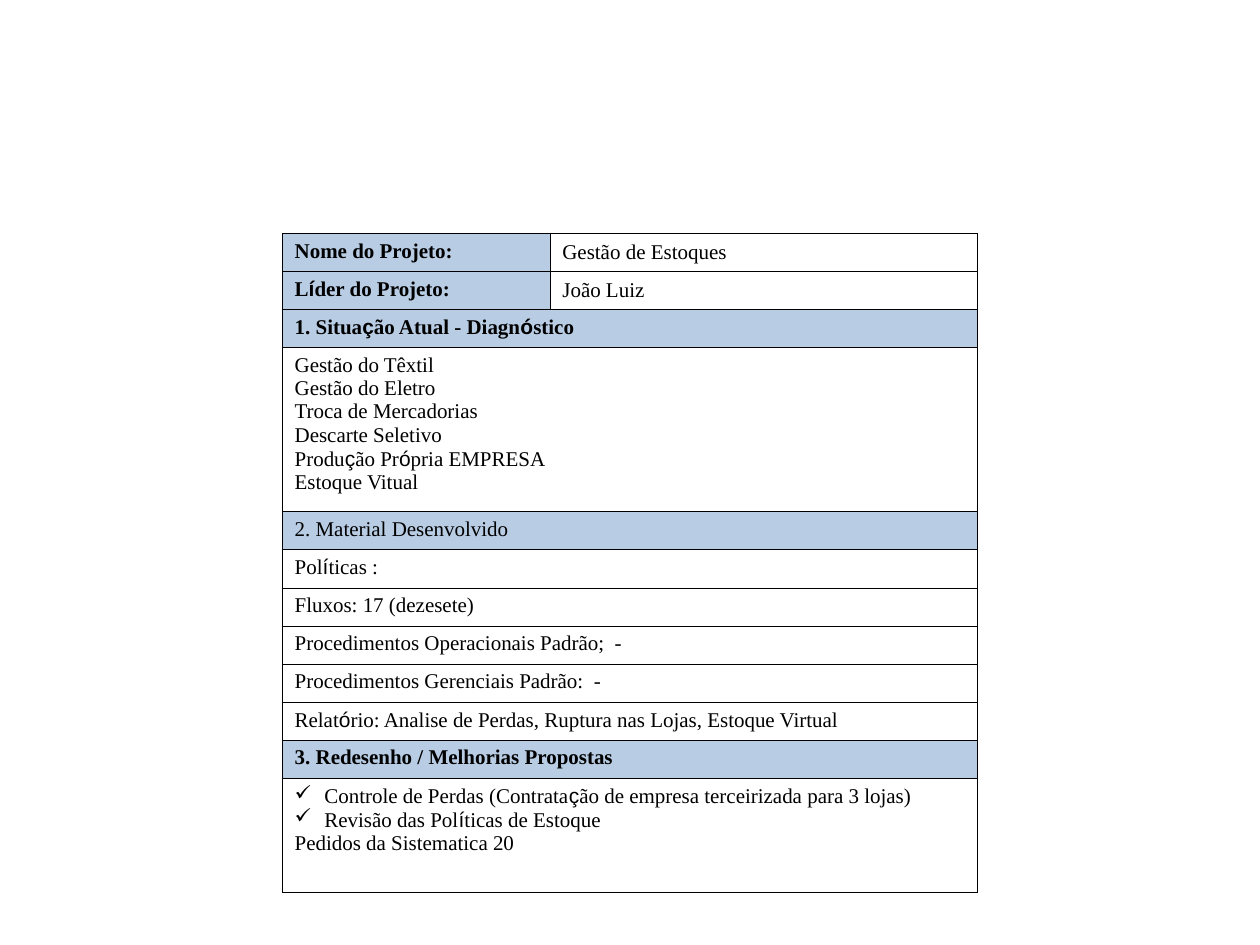
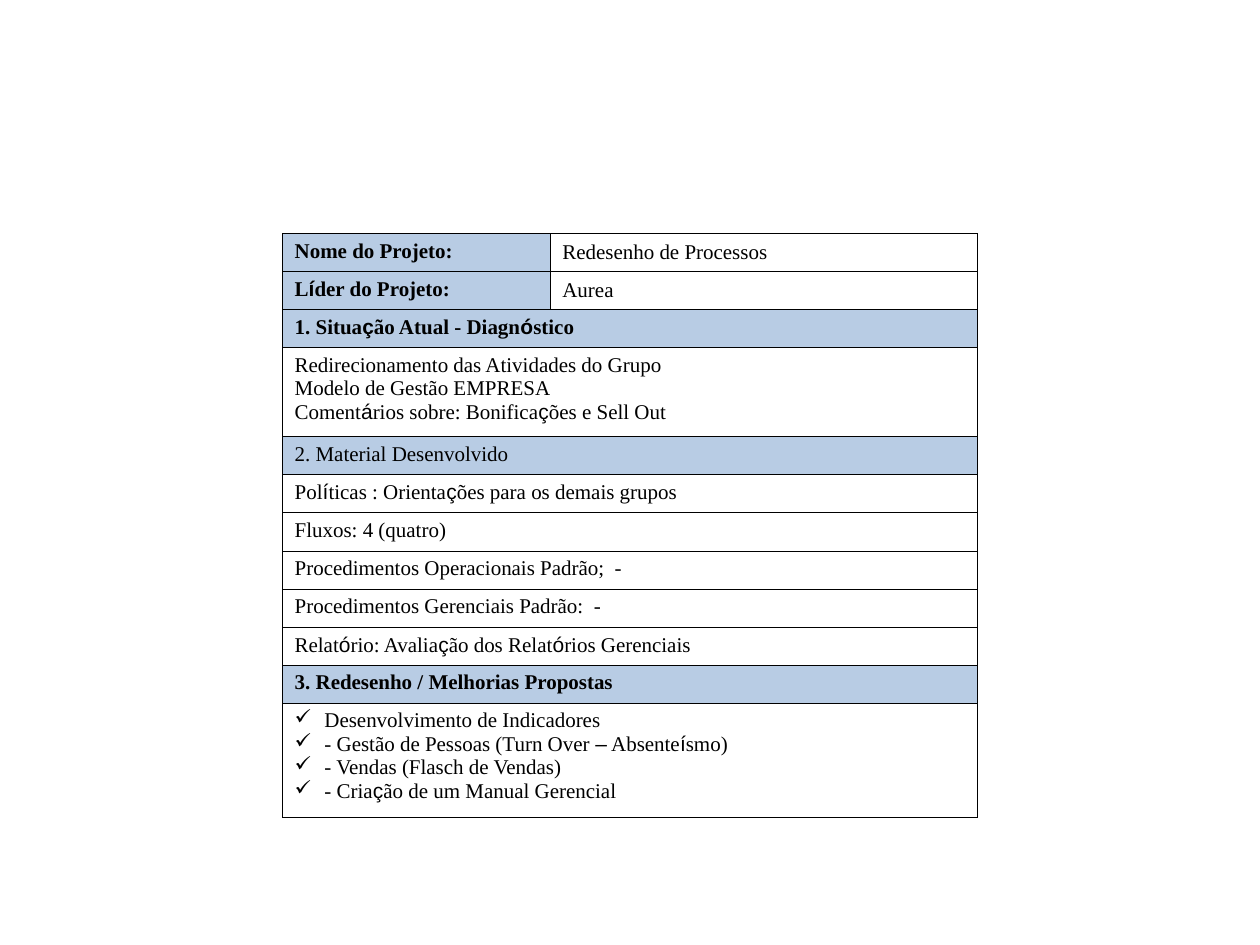
from itertools import groupby

from lxml.etree import SubElement
from pptx import Presentation
from pptx.dml.color import RGBColor
from pptx.enum.text import MSO_ANCHOR, PP_ALIGN
from pptx.oxml.ns import qn
from pptx.util import Pt

PROJECTS = [
    {
        "name": "Gestão de Estoques",
        "leader": "João Luiz",
        "diagnosis": [
            "Gestão do Têxtil",
            "Gestão do Eletro",
            "Troca de Mercadorias",
            "Descarte Seletivo",
            "Produção Própria EMPRESA",
            "Estoque Vitual",
        ],
        "diagnosis_height": 93.7,
        "policies": "Políticas :",
        "flows": "Fluxos: 17 (dezesete)",
        "report": "Relatório: Analise de Perdas, Ruptura nas Lojas, Estoque Virtual",
        "checked": [
            "Controle de Perdas (Contratação de empresa terceirizada para 3 lojas)",
            "Revisão das Políticas de Estoque",
        ],
        "unchecked": ["Pedidos da Sistematica 20"],
    },
    {
        "name": "Redesenho de Processos",
        "leader": "Aurea",
        "diagnosis": [
            "Redirecionamento das Atividades do Grupo",
            "Modelo de Gestão EMPRESA",
            "Comentários sobre: Bonificações e Sell Out",
        ],
        "diagnosis_height": 50.8,
        "policies": "Políticas : Orientações para os demais grupos",
        "flows": "Fluxos: 4 (quatro)",
        "report": "Relatório: Avaliação dos Relatórios Gerenciais",
        "checked": [
            "Desenvolvimento de Indicadores",
            "- Gestão de Pessoas (Turn Over – Absenteísmo)",
            "- Vendas (Flasch de Vendas)",
            "- Criação de um Manual Gerencial",
        ],
        "unchecked": [],
    },
]

BLACK = RGBColor(0x00, 0x00, 0x00)
WHITE = RGBColor(0xFF, 0xFF, 0xFF)
BAND_BLUE = RGBColor(0xB8, 0xCC, 0xE4)

BODY_FONT = "Times New Roman"
ACCENT_FONT = "Arial"
ACCENT_LETTERS = "áçíó–"

LEFT, TOP = 161.6, 133.4
LABEL_WIDTH, VALUE_WIDTH = 153, 244
LINE_HEIGHT, PROPOSALS_HEIGHT = 21.78, 65.1
BORDER_WIDTH = Pt(0.45)
CHECK_INDENT = Pt(17)

CELL_FORMAT = {
    "margin_left": Pt(6.8),
    "margin_right": Pt(6.8),
    "margin_top": Pt(3.4),
    "margin_bottom": Pt(3.4),
}
LABEL = {"fill": BAND_BLUE, "bold": True, "align": PP_ALIGN.JUSTIFY}
SUBHEAD = {"fill": BAND_BLUE}
VALUE = {"anchor": MSO_ANCHOR.MIDDLE}
JUSTIFIED = {"align": PP_ALIGN.JUSTIFY}


def project_rows(project):
    return [
        (LINE_HEIGHT, [(["Nome do Projeto:"], LABEL), ([project["name"]], VALUE)]),
        (LINE_HEIGHT, [(["Líder do Projeto:"], LABEL), ([project["leader"]], VALUE)]),
        (LINE_HEIGHT, [(["1. Situação Atual - Diagnóstico"], LABEL)]),
        (project["diagnosis_height"], [(project["diagnosis"], {})]),
        (LINE_HEIGHT, [(["2. Material Desenvolvido"], SUBHEAD)]),
        (LINE_HEIGHT, [([project["policies"]], {})]),
        (LINE_HEIGHT, [([project["flows"]], {})]),
        (LINE_HEIGHT, [(["Procedimentos Operacionais Padrão;  -"], {})]),
        (LINE_HEIGHT, [(["Procedimentos Gerenciais Padrão:  -"], {})]),
        (LINE_HEIGHT, [([project["report"]], JUSTIFIED)]),
        (LINE_HEIGHT, [(["3. Redesenho / Melhorias Propostas"], LABEL)]),
        (PROPOSALS_HEIGHT, [(
            project["checked"] + project["unchecked"],
            JUSTIFIED | {"checks": len(project["checked"])},
        )]),
    ]


def add_borders(cell):
    properties = cell._tc.get_or_add_tcPr()
    for side in ("a:lnL", "a:lnR", "a:lnT", "a:lnB"):
        border = SubElement(properties, qn(side), w=str(BORDER_WIDTH))
        fill = SubElement(border, qn("a:solidFill"))
        SubElement(fill, qn("a:srgbClr"), val=str(BLACK))


def add_check(paragraph):
    properties = paragraph._p.get_or_add_pPr()
    properties.set("marL", str(CHECK_INDENT))
    properties.set("indent", str(-CHECK_INDENT))
    color = SubElement(properties, qn("a:buClr"))
    SubElement(color, qn("a:srgbClr"), val=str(BLACK))
    SubElement(properties, qn("a:buChar"), char="✓")


def write_line(paragraph, line, bold):
    for accented, letters in groupby(line, lambda letter: letter in ACCENT_LETTERS):
        run = paragraph.add_run()
        run.text = "".join(letters)
        run.font.color.rgb = BLACK
        font_format = {
            "name": ACCENT_FONT if accented else BODY_FONT,
            "size": Pt(12),
            "bold": bold,
        }
        for attribute, value in font_format.items():
            setattr(run.font, attribute, value)


def style_cell(cell, style):
    add_borders(cell)
    cell.fill.solid()
    cell.fill.fore_color.rgb = style.get("fill", WHITE)
    anchor = style.get("anchor", MSO_ANCHOR.TOP)
    for attribute, value in (CELL_FORMAT | {"vertical_anchor": anchor}).items():
        setattr(cell, attribute, value)


def write_cell(cell, lines, style):
    frame = cell.text_frame
    for index, line in enumerate(lines):
        paragraph = frame.add_paragraph() if index else frame.paragraphs[0]
        paragraph.alignment = style.get("align", PP_ALIGN.LEFT)
        if index < style.get("checks", 0):
            add_check(paragraph)
        write_line(paragraph, line, style.get("bold", False))


def add_project_slide(deck, project):
    slide = deck.slides.add_slide(deck.slide_layouts[6])
    rows = project_rows(project)
    sheet = slide.shapes.add_table(
        len(rows), 2, Pt(LEFT), Pt(TOP),
        Pt(LABEL_WIDTH + VALUE_WIDTH), Pt(sum(height for height, _ in rows)),
    ).table
    sheet.first_row = sheet.horz_banding = False
    for column, width in zip(sheet.columns, (LABEL_WIDTH, VALUE_WIDTH)):
        column.width = Pt(width)
    for index, (height, entries) in enumerate(rows):
        sheet.rows[index].height = Pt(height)
        cells = [sheet.cell(index, column) for column in range(2)]
        if len(entries) == 1:
            cells[0].merge(cells[1])
        for column, cell in enumerate(cells):
            style_cell(cell, entries[min(column, len(entries) - 1)][1])
        for cell, (lines, style) in zip(cells, entries):
            write_cell(cell, lines, style)


def main():
    deck = Presentation()
    deck.slide_width, deck.slide_height = Pt(720), Pt(540)
    for project in PROJECTS:
        add_project_slide(deck, project)
    deck.save("out.pptx")


if __name__ == "__main__":
    main()
